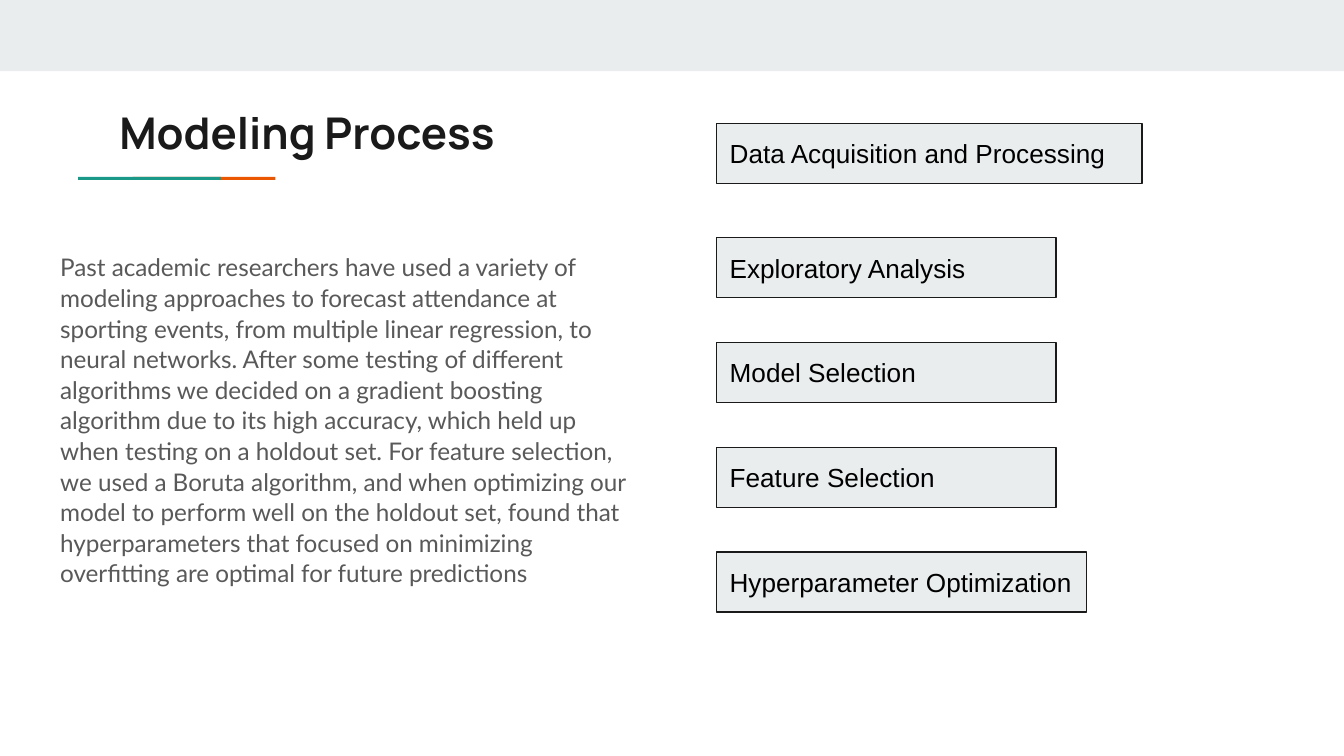
from dataclasses import dataclass
from pptx import Presentation
from pptx.dml.color import RGBColor
from pptx.enum.shapes import MSO_SHAPE
from pptx.enum.text import MSO_ANCHOR, PP_ALIGN
from pptx.util import Pt

INK = "1A1A1A"
MIST = "E9EDEE"
PAD = 7.2


@dataclass
class Box:
    left: float
    top: float
    width: float
    height: float


@dataclass
class Font:
    name: str
    size: float
    color: str
    bold: bool = False


@dataclass
class Step:
    label: str
    top: float
    width: float = 182


def paint(color: str) -> RGBColor:
    return RGBColor.from_string(color)


def write(shape, text: str, font: Font, anchor=MSO_ANCHOR.TOP) -> None:
    frame = shape.text_frame
    frame.text = text
    frame.word_wrap = True
    frame.vertical_anchor = anchor
    frame.margin_left = frame.margin_right = Pt(PAD)
    frame.margin_top = frame.margin_bottom = Pt(PAD)
    para = frame.paragraphs[0]
    para.alignment = PP_ALIGN.LEFT
    for run in para.runs:
        run.font.name = font.name
        run.font.size = Pt(font.size)
        run.font.bold = font.bold
        run.font.color.rgb = paint(font.color)


def add_rect(slide, box: Box, fill: str, line: str = ""):
    shape = slide.shapes.add_shape(
        MSO_SHAPE.RECTANGLE,
        Pt(box.left), Pt(box.top), Pt(box.width), Pt(box.height))
    shape.shadow.inherit = False
    shape.fill.solid()
    shape.fill.fore_color.rgb = paint(fill)
    if line:
        shape.line.color.rgb = paint(line)
        shape.line.width = Pt(0.75)
    else:
        shape.line.fill.background()
    return shape


def add_text(slide, box: Box, text: str, font: Font):
    shape = slide.shapes.add_textbox(
        Pt(box.left), Pt(box.top), Pt(box.width), Pt(box.height))
    write(shape, text, font)
    return shape


def main() -> None:
    deck = Presentation()
    deck.slide_width, deck.slide_height = Pt(720), Pt(405)
    slide = deck.slides.add_slide(deck.slide_layouts[6])

    # Top band and overlapping accent bars
    add_rect(slide, Box(0, 0, 720, 38.2), MIST)
    for left, color in ((71, "EB5600"), (41.8, "1A9988")):
        add_rect(slide, Box(left, 94.8, 76.5, 1.6), color)

    # Title and body
    add_text(slide, Box(56.9, 49.7, 228.2, 42.5), "Modeling Process",
             Font("Manrope", 23.4, INK, True))
    body = add_text(
        slide, Box(25.2, 127.4, 319, 195.8),
        "Past academic researchers have used a variety of modeling "
        "approaches to forecast attendance at sporting events, from "
        "multiple linear regression, to neural networks. After some "
        "testing of different algorithms we decided on a gradient "
        "boosting algorithm due to its high accuracy, which held up when "
        "testing on a holdout set. For feature selection, we used a "
        "Boruta algorithm, and when optimizing our model to perform well "
        "on the holdout set, found that hyperparameters that focused on "
        "minimizing overfitting are optimal for future predictions",
        Font("Lato", 13, "595959"))
    para = body.text_frame.paragraphs[0]
    para.line_spacing = 1.05
    para.space_after = Pt(12)

    # Process steps: the last four are evenly spaced
    first, gap = 127.4, 56.1
    steps = [
        Step("Data Acquisition and Processing", 66.1, 228),
        Step("Exploratory Analysis", first),
        Step("Model Selection", first + gap),
        Step("Feature Selection", first + 2 * gap),
        Step("Hyperparameter Optimization", first + 3 * gap, 198.3),
    ]
    for step in steps:
        shape = add_rect(slide, Box(383.8, step.top, step.width, 32.2),
                         MIST, INK)
        write(shape, step.label, Font("Arial", 14, "000000"),
              MSO_ANCHOR.MIDDLE)

    deck.save("out.pptx")


if __name__ == "__main__":
    main()
